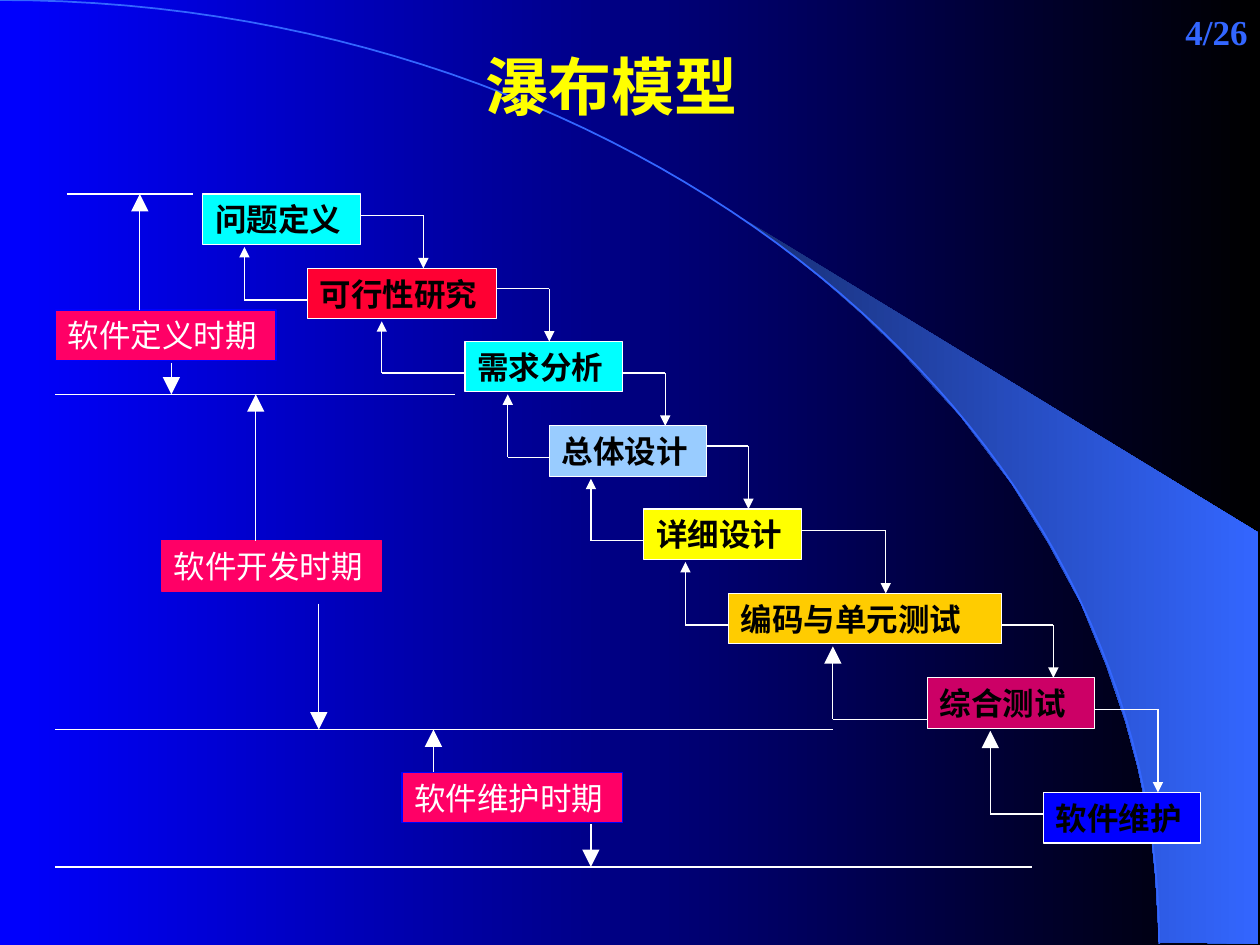
"""Build the waterfall model slide with its steps, feedback arrows and periods."""
from lxml import etree
from pptx import Presentation
from pptx.dml.color import RGBColor
from pptx.enum import shapes, text
from pptx.oxml import ns
from pptx.util import Inches, Pt

FONT = "Times New Roman"
BLUE = RGBColor(0x00, 0x00, 0xFF)
BLACK = RGBColor(0x00, 0x00, 0x00)
WHITE = RGBColor(0xFF, 0xFF, 0xFF)
NAVY = RGBColor(0x18, 0x2F, 0x76)
AZURE = RGBColor(0x33, 0x66, 0xFF)
YELLOW = RGBColor(0xFF, 0xFF, 0x00)
CYAN = RGBColor(0x00, 0xFF, 0xFF)
RED = RGBColor(0xFF, 0x00, 0x33)
SKY = RGBColor(0x99, 0xCC, 0xFF)
ORANGE = RGBColor(0xFF, 0xCC, 0x00)
MAGENTA = RGBColor(0xCC, 0x00, 0x66)
PINK = RGBColor(0xFF, 0x00, 0x66)
BOX_HEIGHT = 0.4

prs = Presentation()
prs.slide_width, prs.slide_height = Inches(10), Inches(7.5)
slide = prs.slides.add_slide(prs.slide_layouts[6])


def add_label(label, left, top, width, height, size, color, bold=True,
              align=text.PP_ALIGN.LEFT, anchor=text.MSO_ANCHOR.MIDDLE, fill=None, outline=None):
    place = [Inches(v) for v in (left, top, width, height)]
    if fill is None:
        box = slide.shapes.add_textbox(*place)
    else:
        box = slide.shapes.add_shape(shapes.MSO_SHAPE.RECTANGLE, *place)
        box.shadow.inherit = False
        box.fill.solid()
        box.fill.fore_color.rgb = fill
        box.line.color.rgb = outline
        box.line.width = Pt(0.75)
    frame = box.text_frame
    frame.text = label
    frame.word_wrap = True
    frame.vertical_anchor = anchor
    paragraph = frame.paragraphs[0]
    paragraph.alignment = align
    font = paragraph.runs[0].font
    font.name, font.size, font.bold, font.color.rgb = FONT, Pt(size), bold, color


def add_line(x1, y1, x2, y2, head=None):
    line = slide.shapes.add_connector(
        shapes.MSO_CONNECTOR.STRAIGHT, *[Inches(v) for v in (x1, y1, x2, y2)])
    line.line.color.rgb = WHITE
    line.line.width = Pt(0.75)
    if head:
        etree.SubElement(line.line._get_or_add_ln(), ns.qn("a:tailEnd"),
                         type="triangle", w=head, len=head)
    etree.SubElement(line._element.spPr, ns.qn("a:effectLst"))


backdrop = slide.background.fill
beam_points = [
    (9.2, 7.48), (9.99, 7.49), (9.99, 4.23), (5.89, 1.73), (6.24, 1.99), (6.53, 2.22),
    (6.85, 2.5), (7.16, 2.8), (7.62, 3.3), (8.03, 3.84), (8.32, 4.31), (8.58, 4.79),
    (8.78, 5.28), (8.93, 5.72), (9.03, 6.09), (9.13, 6.56), (9.17, 6.96)]
arc_points = []
for t in [i / 60 for i in range(61)]:
    s = 1 - t
    arc_points.append((3 * s * s * t * 5.08 + 3 * s * t * t * 9.2 + t ** 3 * 9.2,
                       3 * s * t * t * 3.35 + t ** 3 * 7.49))

outlines = []
for points, closed in [(beam_points, True), (arc_points, False)]:
    corners = [(Inches(x), Inches(y)) for x, y in points]
    builder = slide.shapes.build_freeform(*corners[0])
    builder.add_line_segments(corners[1:], close=closed)
    outline = builder.convert_to_shape()
    outline.shadow.inherit = False
    outlines.append(outline)
beam, arc = outlines
beam.line.fill.background()
arc.fill.background()
arc.line.color.rgb = AZURE
arc.line.width = Pt(1)

for fill, start, end in [(backdrop, BLUE, BLACK), (beam.fill, NAVY, AZURE)]:
    fill.gradient()
    fill.gradient_angle = 0
    for stop, color in zip(fill.gradient_stops, (start, end)):
        stop.color.rgb = color

add_label("4/26", 7.92, 0, 2.08, 0.5, 20, AZURE, align=text.PP_ALIGN.RIGHT)
add_label("瀑布模型", 0.48, 0.33, 8.75, 1.3, 36, YELLOW,
          align=text.PP_ALIGN.CENTER, anchor=text.MSO_ANCHOR.TOP)

steps = [
    ("问题定义", 1.61, 1.54, 1.25, CYAN),
    ("可行性研究", 2.44, 2.13, 1.5, RED),
    ("需求分析", 3.69, 2.71, 1.25, CYAN),
    ("总体设计", 4.36, 3.38, 1.25, SKY),
    ("详细设计", 5.11, 4.04, 1.25, YELLOW),
    ("编码与单元测试", 5.78, 4.71, 2.17, ORANGE),
    ("综合测试", 7.36, 5.38, 1.33, MAGENTA),
    ("软件维护", 8.28, 6.29, 1.25, BLUE),
]
for label, left, top, width, color in steps:
    add_label(label, left, top, width, BOX_HEIGHT, 18, BLACK, fill=color, outline=WHITE)

links = [
    (1.71, 3.36, 2.38, 1.94, "med"),
    (2.29, 4.36, 2.96, 3.03, "med"),
    (2.96, 5.28, 3.63, 4.03, "med"),
    (3.54, 5.94, 4.29, 4.69, "med"),
    (4.21, 7.03, 4.96, 5.44, "med"),
    (4.96, 8.36, 5.71, 6.61, "lg"),
    (5.63, 9.19, 6.46, 7.86, "lg"),
]
for step, following, link in zip(steps, steps[1:], links):
    forward_y, forward_x, back_y, back_x, back_head = link
    _, left, top, width, _ = step
    _, next_left, next_top, _, _ = following
    add_line(left + width, forward_y, forward_x, forward_y)
    add_line(forward_x, forward_y, forward_x, next_top, "med")
    add_line(next_left, back_y, back_x, back_y)
    add_line(back_x, back_y, back_x, top + BOX_HEIGHT + 0.02, back_head)

boundaries = [(0.53, 1.53, 1.54), (0.44, 3.61, 3.13), (0.44, 6.61, 5.79), (0.44, 8.19, 6.88)]
for start_x, end_x, y in boundaries:
    add_line(start_x, y, end_x, y)

periods = [
    ("软件定义时期", 0.44, 2.46, BLUE, 1.11, 1.36, 2.88),
    ("软件开发时期", 1.28, 4.29, PINK, 2.03, 2.53, 4.79),
    ("软件维护时期", 3.19, 6.13, BLUE, 3.44, 4.69, 6.54),
]
for period, upper, lower in zip(periods, boundaries, boundaries[1:]):
    label, left, top, edge, up_x, down_x, down_y = period
    add_label(label, left, top, 1.75, BOX_HEIGHT, 18, WHITE, bold=False, fill=PINK, outline=edge)
    add_line(up_x, top, up_x, upper[2], "lg")
    add_line(down_x, down_y, down_x, lower[2], "lg")

prs.save("out.pptx")
